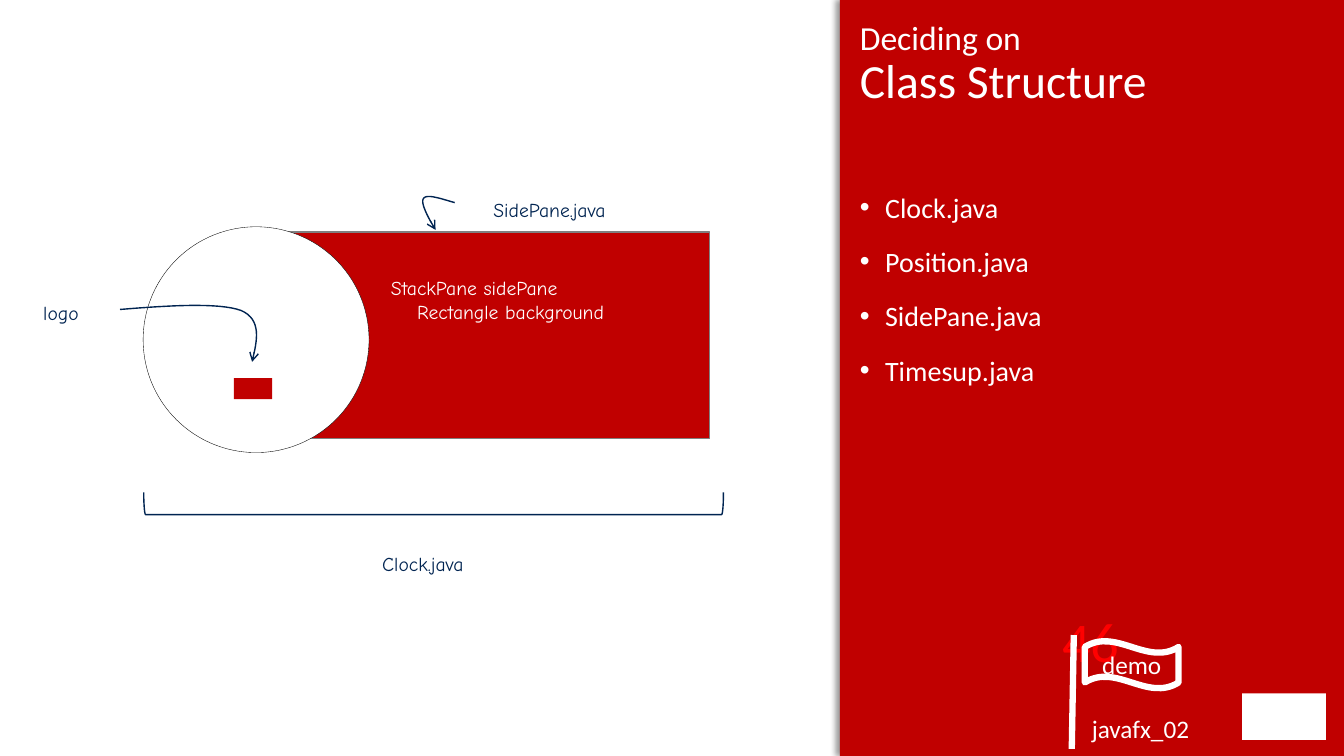
from lxml import etree
from pptx import Presentation
from pptx import util as u
from pptx.dml.color import RGBColor
from pptx.enum import shapes, text
from pptx.oxml import ns

HUES = {"red": "C00000", "navy": "002451", "white": "FFFFFF",
        "black": "000000", "gray": "808080", "page": "FF0000"}
BODY, NOTE = "Calibri", "Comic Neue"
KIND = shapes.MSO_SHAPE
ALIGN = text.PP_ALIGN
MID = text.MSO_ANCHOR.MIDDLE


def tone(name):
    return RGBColor.from_string(HUES[name])


def child(node, tag, **attrs):
    return etree.SubElement(node, ns.qn(tag), attrs)


def write(par, words, size=14, font=NOTE, hue="navy"):
    run = par.add_run()
    run.text = words
    run.font.size = u.Pt(size)
    run.font.name = font
    run.font.color.rgb = tone(hue)


class Board:
    def __init__(self, slide):
        self.items = slide.shapes

    def box(self, at, lines, align=ALIGN.LEFT, anchor=text.MSO_ANCHOR.TOP,
            wrap=True, **style):
        frame = self.items.add_textbox(*map(u.Inches, at)).text_frame
        frame.word_wrap = wrap
        frame.vertical_anchor = anchor
        for i, words in enumerate(lines):
            par = frame.paragraphs[0] if i == 0 else frame.add_paragraph()
            par.alignment = align
            write(par, words, **style)
        return frame

    def stroke(self, item, hue, width):
        if hue:
            item.line.color.rgb = tone(hue)
            item.line.width = u.Pt(width)
        else:
            item.line.fill.background()

    def shape(self, kind, at, fill=None, line=None, width=1):
        item = self.items.add_shape(kind, *map(u.Inches, at))
        item.shadow.inherit = False
        if fill:
            item.fill.solid()
            item.fill.fore_color.rgb = tone(fill)
        else:
            item.fill.background()
        self.stroke(item, line, width)
        return item

    def arrow(self, start, *curves, steps=16):
        """Arrow along cubic curves, each given as two controls and an end."""
        dots, p = [], start
        for a, b, c in curves:
            for n in range(1, steps + 1):
                t = n / steps
                s = 1 - t
                dots.append([u.Inches(s**3 * p[k] + 3 * s * s * t * a[k]
                                      + 3 * s * t * t * b[k] + t**3 * c[k])
                             for k in (0, 1)])
            p = c
        pen = self.items.build_freeform(*map(u.Inches, start))
        pen.add_line_segments(dots, close=False)
        item = pen.convert_to_shape()
        item.shadow.inherit = False
        item.fill.background()
        self.stroke(item, "navy", 1)
        child(item.line._get_or_add_ln(), "a:tailEnd", type="arrow")

    def rule(self, start, end, hue, width):
        item = self.items.add_connector(
            shapes.MSO_CONNECTOR.STRAIGHT, *map(u.Inches, start + end))
        self.stroke(item, hue, width)
        child(item._element.spPr, "a:effectLst")


def main():
    deck = Presentation()
    deck.slide_width, deck.slide_height = u.Inches(13.33), u.Inches(7.5)
    board = Board(deck.slides.add_slide(deck.slide_layouts[6]))

    # Side panel with a soft shadow to the left
    panel = board.shape(KIND.RECTANGLE, (8.33, 0, 5, 7.5), "red")
    glow = child(panel._element.spPr.find(ns.qn("a:effectLst")), "a:outerShdw",
                 blurRad=str(u.Pt(4)), dist=str(u.Pt(3)), dir="10800000",
                 algn="r", rotWithShape="0")
    child(child(glow, "a:srgbClr", val=HUES["black"]), "a:alpha", val="40000")
    board.box((9.31, 5.54, 3.01, 1.63), ["46"], ALIGN.CENTER, MID,
              size=40, font=BODY, hue="page")
    board.shape(KIND.RECTANGLE, (12.32, 6.88, 0.83, 0.46), "white")

    # Class list
    names = ["Clock.java", "Position.java", "SidePane.java", "Timesup.java"]
    files = board.box((8.43, 1.77, 4.79, 4), names,
                      size=20, font=BODY, hue="white")
    for i, par in enumerate(files.paragraphs):
        props = par._p.get_or_add_pPr()
        props.set("marL", str(u.Inches(0.25)))
        props.set("indent", str(u.Inches(-0.25)))
        child(props, "a:buFont", typeface="Arial")
        child(props, "a:buChar", char="•")
        par.line_spacing = 1.2
        if i:
            par.space_before = u.Pt(10)

    # Clock drawing
    board.shape(KIND.RECTANGLE, (2.56, 2.3, 4.48, 2.05), "red", "gray")
    board.shape(KIND.OVAL, (1.42, 2.25, 2.24, 2.24), "white", "black", 0.25)
    board.shape(KIND.RECTANGLE, (2.32, 3.75, 0.38, 0.21), "red")
    brace = board.shape(KIND.RIGHT_BRACKET, (4.19, 2.12, 0.22, 5.75),
                        line="navy")
    brace.rotation = 90

    # Labels and their arrows
    for words, at in (("SidePane.java", (4.44, 1.91, 2.02, 0.34)),
                      ("Clock.java", (3.49, 5.43, 1.41, 0.34)),
                      ("logo", (-0.1, 2.94, 1.41, 0.34))):
        board.box(at, [words], ALIGN.CENTER)
    board.arrow((4.51, 2.01),
                ((4.37, 1.97), (4.23, 1.92), (4.2, 1.97)),
                ((4.17, 2.01), (4.24, 2.15), (4.32, 2.28)))
    board.arrow((1.19, 3.07),
                ((1.68, 3.03), (2.17, 3), (2.39, 3.08)),
                ((2.6, 3.17), (2.55, 3.38), (2.5, 3.59)))
    pane = board.box((3.78, 2.69, 3.13, 0.57),
                     ["StackPane sidePane", "Rectangle background"],
                     hue="white")
    pane.paragraphs[1]._p.get_or_add_pPr().set("marL", str(u.Inches(0.26)))

    # Demo flag
    flag = board.shape(KIND.WAVE, (10.76, 6.36, 0.93, 0.47),
                       line="white", width=4.5)
    cloth = flag.text_frame
    cloth.word_wrap = False
    cloth.vertical_anchor = MID
    cloth.paragraphs[0].alignment = ALIGN.CENTER
    write(cloth.paragraphs[0], "demo", 18, BODY, "white")
    board.rule((10.65, 6.3), (10.63, 7.43), "white", 4.5)
    board.box((10.73, 7.03, 1.18, 0.4), ["javafx_02"], wrap=False,
              size=18, font=BODY, hue="white")

    # Title
    title = board.box((8.43, 0.16, 4.79, 1.23), ["Deciding on"],
                      size=24, font=BODY, hue="white").paragraphs[0]
    title.line_spacing = 0.9
    title.add_line_break()
    write(title, "Class Structure", 34, BODY, "white")

    deck.save("out.pptx")


if __name__ == "__main__":
    main()
